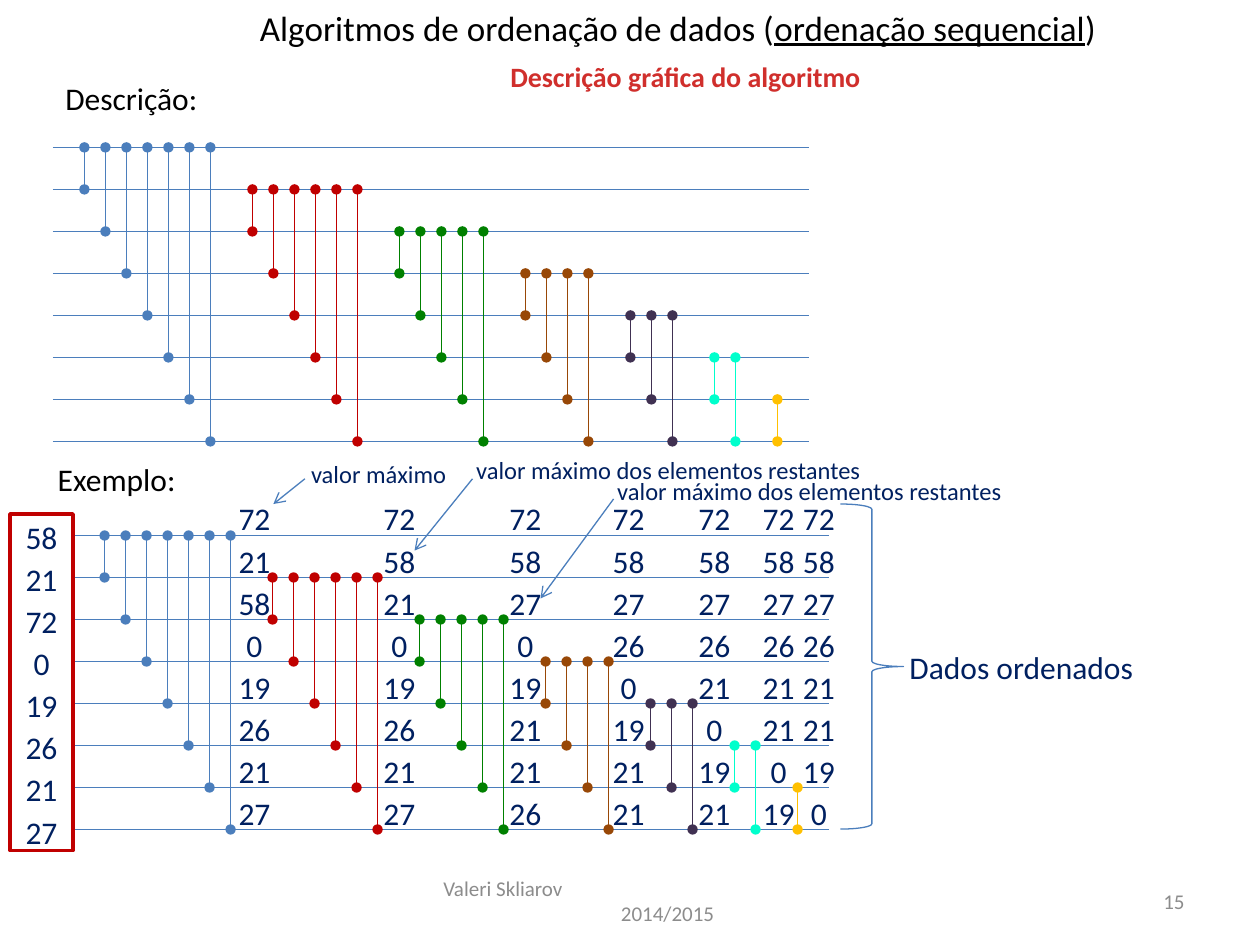
"""Builds the slide on sequential sorting: comparison network and worked example."""
from itertools import accumulate

from lxml import etree
from pptx import Presentation
from pptx import util as u
from pptx.dml.color import RGBColor
from pptx.enum import shapes, text
from pptx.oxml.ns import qn

BLUE, RED, NAVY, GREY = "4B7EBC", "C00000", "002060", "8C8C8C"
STAGE_COLOURS = [BLUE, RED, "008000", "984807", "403152", "00FFCC", "FFC000"]
DATA = [58, 21, 72, 0, 19, 26, 21, 27]
COLUMN_LEFTS = [1.77, 2.92, 3.92, 4.74, 5.42, 5.93, 6.25]
ROW, STEP = 1 / 3, 1 / 6
LEFT, CENTRE, RIGHT = text.PP_ALIGN.LEFT, text.PP_ALIGN.CENTER, text.PP_ALIGN.RIGHT
TOP, MIDDLE = text.MSO_ANCHOR.TOP, text.MSO_ANCHOR.MIDDLE


def colour(hex_code):
    return RGBColor.from_string(hex_code)


def write(frame, paragraphs, size=18, ink="000000", bold=False, align=LEFT,
          anchor=TOP, wrap=True, spacing=None, indents=()):
    """Each paragraph is a list of (words, underlined) pairs or a plain string."""
    frame.word_wrap = wrap
    frame.vertical_anchor = anchor
    for index, runs in enumerate(paragraphs):
        paragraph = frame.paragraphs[0] if index == 0 else frame.add_paragraph()
        paragraph.alignment = align
        if spacing:
            paragraph.line_spacing = u.Pt(spacing)
        if indents:
            paragraph._p.get_or_add_pPr().set("marL", str(u.Inches(indents[index])))
        for words, underlined in [(runs, False)] if isinstance(runs, str) else runs:
            run = paragraph.add_run()
            run.text = words
            font = run.font
            font.name, font.size, font.bold = "Calibri", u.Pt(size), bold
            font.underline = underlined
            font.color.rgb = colour(ink)


class SlideBuilder:
    """Holds the line style and the current slide."""

    def __init__(self, slide, line_width=0.75):
        self.shapes = slide.shapes
        self.line_width = line_width

    def label(self, box, *paragraphs, **style):
        frame = self.shapes.add_textbox(*map(u.Inches, box)).text_frame
        write(frame, paragraphs, **style)

    def line(self, start, end, ink=BLUE, head=None, tail=None):
        connector = self.shapes.add_connector(
            shapes.MSO_CONNECTOR.STRAIGHT, *map(u.Inches, (*start, *end)))
        connector.line.color.rgb = colour(ink)
        connector.line.width = u.Pt(self.line_width)
        outline = connector.line._get_or_add_ln()
        for tag, kind in (("a:headEnd", head), ("a:tailEnd", tail)):
            if kind:
                etree.SubElement(outline, qn(tag)).set("type", kind)
        etree.SubElement(connector._element.spPr, qn("a:effectLst"))

    def shape(self, kind, box, ink, width, fill=None):
        shape = self.shapes.add_shape(kind, *map(u.Inches, box))
        shape.shadow.inherit = False
        shape.line.color.rgb = colour(ink)
        shape.line.width = u.Pt(width)
        if fill:
            shape.fill.solid()
            shape.fill.fore_color.rgb = colour(fill)
        else:
            shape.fill.background()
        return shape

    def network(self, left, top):
        rows = [top + ROW * index for index in range(len(DATA))]
        for y in rows:
            self.line((left, y), (left + 6, y))
        x = left + 0.25
        for stage, ink in enumerate(STAGE_COLOURS):
            for y in rows[stage + 1:]:
                self.line((x, rows[stage]), (x, y), ink, head="oval", tail="oval")
                x += STEP
            x += STEP


def sort_stage(values, stage):
    """Returns the values after the stage has moved its maximum into place."""
    values = list(values)
    for other in range(stage + 1, len(values)):
        if values[other] > values[stage]:
            values[stage], values[other] = values[other], values[stage]
    return values


def main():
    deck = Presentation()
    deck.slide_width, deck.slide_height = u.Inches(10), u.Inches(7.5)
    builder = SlideBuilder(deck.slides.add_slide(deck.slide_layouts[6]))

    builder.label((3.42, 6.95, 3.17, 0.4), "Valeri Skliarov", "2014/2015",
                  size=12, ink=GREY, anchor=MIDDLE, indents=(0, 1.41))
    builder.label((7.17, 6.95, 2.33, 0.4), "15",
                  size=12, ink=GREY, anchor=MIDDLE, align=RIGHT)
    builder.label((1.83, 0, 7.1, 0.44),
                  [("Algoritmos de ordenação de dados (", False),
                   ("ordenação sequencial", True), (")", False)],
                  size=20, align=CENTRE)
    builder.label((3.93, 0.42, 3.02, 0.37), "Descrição gráfica do algoritmo",
                  size=16, ink="D02F2C", bold=True, align=CENTRE, wrap=False)

    builder.label((0.42, 0.58, 1.26, 0.4), "Descrição:", wrap=False)
    builder.network(0.42, 1.17)
    builder.label((0.36, 3.6, 1.15, 0.4), "Exemplo:", wrap=False)
    builder.network(0.58, 4.25)

    column_style = dict(ink=NAVY, align=CENTRE, anchor=MIDDLE, spacing=24)
    unsorted_box = builder.shape(shapes.MSO_SHAPE.RECTANGLE, (0.08, 4.08, 0.5, 2.67),
                                 RED, 2, fill="FFFFFF")
    write(unsorted_box.text_frame, map(str, DATA), **column_style)
    stages = list(accumulate(range(len(COLUMN_LEFTS)), sort_stage, initial=DATA))
    for left, values in zip(COLUMN_LEFTS, stages[1:]):
        builder.label((left, 3.93, 0.5, 2.67), *map(str, values), **column_style)

    remaining = "valor máximo dos elementos restantes"
    for start, end, box, caption in [
        ((2.42, 3.8), (2.17, 4), (2.37, 3.59, 1.28, 0.34), "valor máximo"),
        ((3.75, 3.8), (3.29, 4.37), (3.68, 3.56, 3.28, 0.34), remaining),
        ((4.87, 3.96), (4.29, 4.75), (4.8, 3.73, 3.28, 0.34), remaining),
    ]:
        builder.line(start, end, tail="arrow")
        builder.label(box, caption, size=14, ink=NAVY, wrap=False)

    builder.shape(shapes.MSO_SHAPE.RIGHT_BRACE, (6.67, 4, 0.5, 2.58), BLUE, 0.75)
    builder.label((7.12, 5.09, 2, 0.4), "Dados ordenados", ink=NAVY, wrap=False)
    deck.save("out.pptx")


if __name__ == "__main__":
    main()
